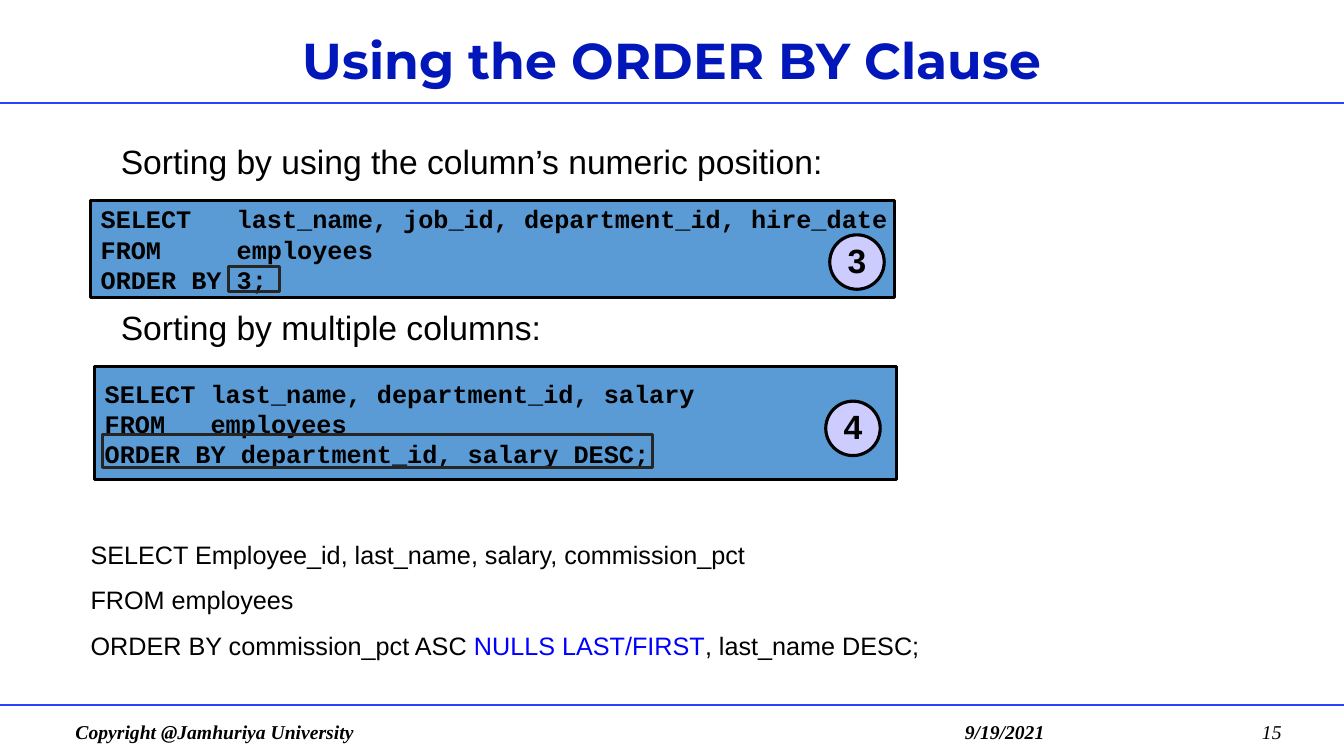
from pptx import Presentation
from pptx.dml.color import RGBColor
from pptx.enum.shapes import MSO_CONNECTOR, MSO_SHAPE
from pptx.enum.text import MSO_ANCHOR, MSO_AUTO_SIZE, PP_ALIGN
from pptx.oxml.ns import qn
from pptx.util import Inches, Pt
from lxml.etree import SubElement


def color(value):
    return RGBColor.from_string(value)


def write(shape, lines, font="Arial", size=18, ink="000000", bold=False, italic=False,
          align=PP_ALIGN.LEFT, anchor=MSO_ANCHOR.TOP, spacing=1.0, wrap=True, inset=0.1):
    frame = shape.text_frame
    frame.auto_size = MSO_AUTO_SIZE.NONE
    frame.word_wrap = wrap
    frame.vertical_anchor = anchor
    frame.margin_left = frame.margin_right = Inches(inset)
    frame.margin_top = frame.margin_bottom = Inches(0.05)
    for index, line in enumerate(lines):
        paragraph = frame.paragraphs[0] if index == 0 else frame.add_paragraph()
        paragraph.alignment = align
        paragraph.line_spacing = spacing
        for words, tint in [(line, ink)] if isinstance(line, str) else line:
            run = paragraph.add_run()
            run.text = words
            run.font.name = font
            run.font.size = Pt(size)
            run.font.bold = bold
            run.font.italic = italic
            run.font.color.rgb = color(tint)


deck = Presentation()
deck.slide_width = Inches(13.33)
deck.slide_height = Inches(7.5)
slide = deck.slides.add_slide(deck.slide_layouts[5])
shapes = slide.shapes

title = shapes.title
title.left, title.top, title.width, title.height = map(Inches, (0.8, 0.23, 11.73, 0.71))
write(title, ["Using the ORDER BY Clause"], font="Montserrat", size=36, ink="0217B9",
      bold=True, align=PP_ALIGN.CENTER, anchor=MSO_ANCHOR.MIDDLE)

for rule_top in (1.02, 6.99):
    rule = shapes.add_connector(MSO_CONNECTOR.STRAIGHT, 0, Inches(rule_top),
                                deck.slide_width, Inches(rule_top))
    rule.line.color.rgb = color("2B43FC")
    rule.line.width = Pt(1.5)
    SubElement(rule.element.spPr, qn("a:effectLst"))

footers = [
    ("9/19/2021", 9.47, 1.18, PP_ALIGN.LEFT, True),
    ("Copyright @Jamhuriya University", 0.6, 3.06, PP_ALIGN.CENTER, True),
    ("15", 11.63, 1.18, PP_ALIGN.RIGHT, False),
]
for words, left, width, align, bold in footers:
    footer = shapes.add_textbox(Inches(left), Inches(7.06), Inches(width), Inches(0.4))
    write(footer, [words], font="Times New Roman", size=14, bold=bold, italic=True,
          align=align, anchor=MSO_ANCHOR.MIDDLE)

examples = [
    ("Sorting by using the column’s numeric position:", 1.39,
     ["SELECT   last_name, job_id, department_id, hire_date",
      "FROM     employees",
      "ORDER BY 3;"],
     (0.9, 1.99, 7.97, 0.96), (2.27, 2.64, 0.5, 0.25), "3", (8.23, 2.33, 0.54, 0.54)),
    ("Sorting by multiple columns:", 3.04,
     ["SELECT last_name, department_id, salary",
      "FROM   employees",
      "ORDER BY department_id, salary DESC;"],
     (0.94, 3.64, 7.95, 1.12), (1.02, 4.31, 5.45, 0.33), "4", (8.19, 3.98, 0.54, 0.54)),
]
for heading, heading_top, code, code_area, clause_area, number, badge_area in examples:
    caption = shapes.add_textbox(Inches(1.1), Inches(heading_top), Inches(8.16), Inches(0.5))
    write(caption, [heading], size=24, spacing=0.9)

    query, clause, badge = [
        shapes.add_shape(preset, *map(Inches, area))
        for preset, area in ((MSO_SHAPE.RECTANGLE, code_area),
                             (MSO_SHAPE.RECTANGLE, clause_area),
                             (MSO_SHAPE.OVAL, badge_area))
    ]
    for part, fill, outline in ((query, "5A9BD5", "000000"),
                                (clause, None, "262626"),
                                (badge, "CCCCFF", "000000")):
        part.shadow.inherit = False
        part.line.color.rgb = color(outline)
        part.line.width = Pt(2.25)
        if fill:
            part.fill.solid()
            part.fill.fore_color.rgb = color(fill)
        else:
            part.fill.background()
    write(query, code, font="Courier New", bold=True, anchor=MSO_ANCHOR.MIDDLE, wrap=False)
    write(badge, [number], size=24, bold=True, align=PP_ALIGN.CENTER,
          anchor=MSO_ANCHOR.MIDDLE, spacing=0.95, wrap=False, inset=0.05)

nulls_query = shapes.add_textbox(Inches(0.8), Inches(5.15), Inches(10.88), Inches(1.41))
write(nulls_query, [
    "SELECT Employee_id, last_name, salary, commission_pct",
    "FROM employees",
    [("ORDER BY commission_pct ASC ", "000000"),
     ("NULLS LAST/FIRST", "0000FF"),
     (", last_name DESC;", "000000")],
], spacing=1.5)

deck.save("out.pptx")
